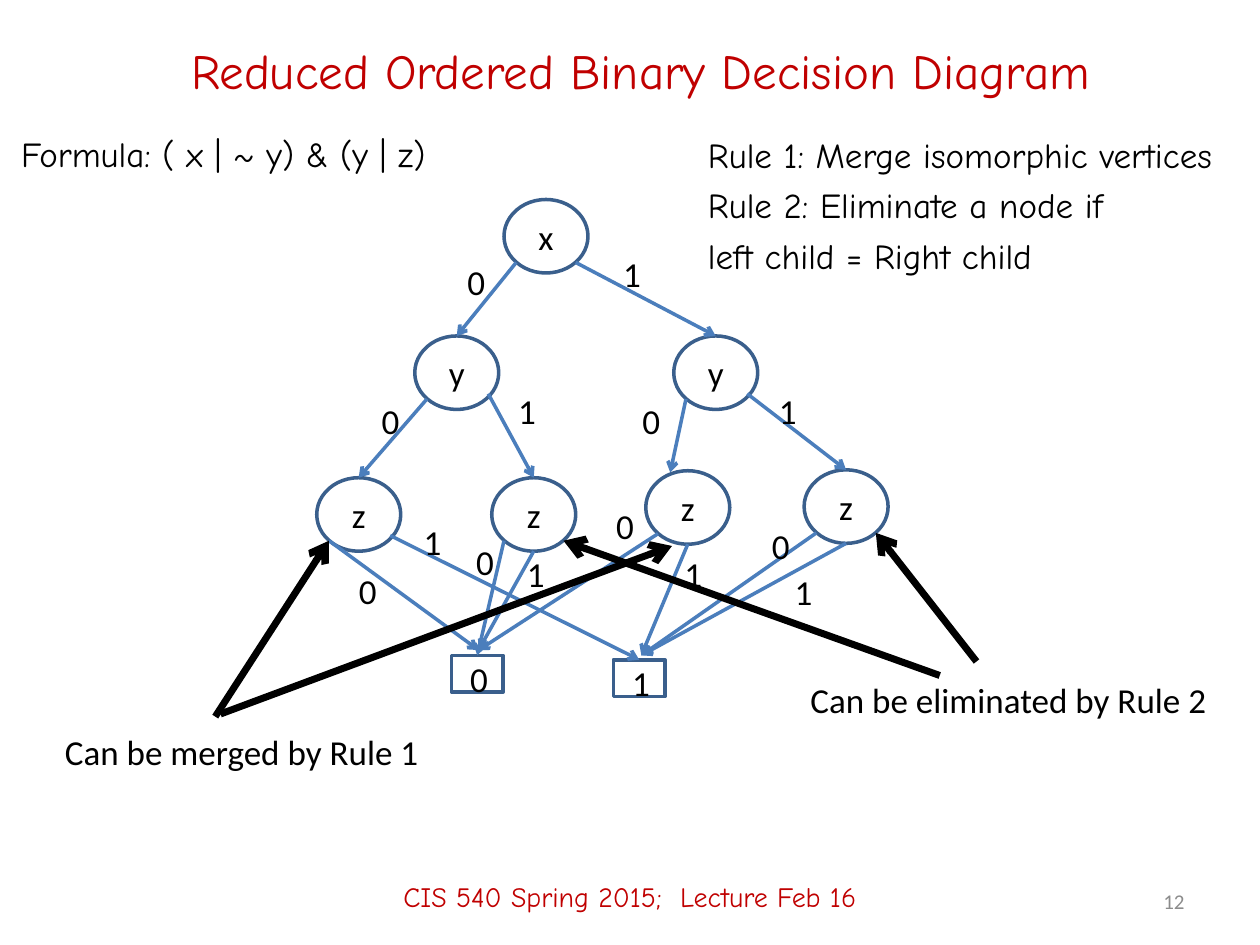
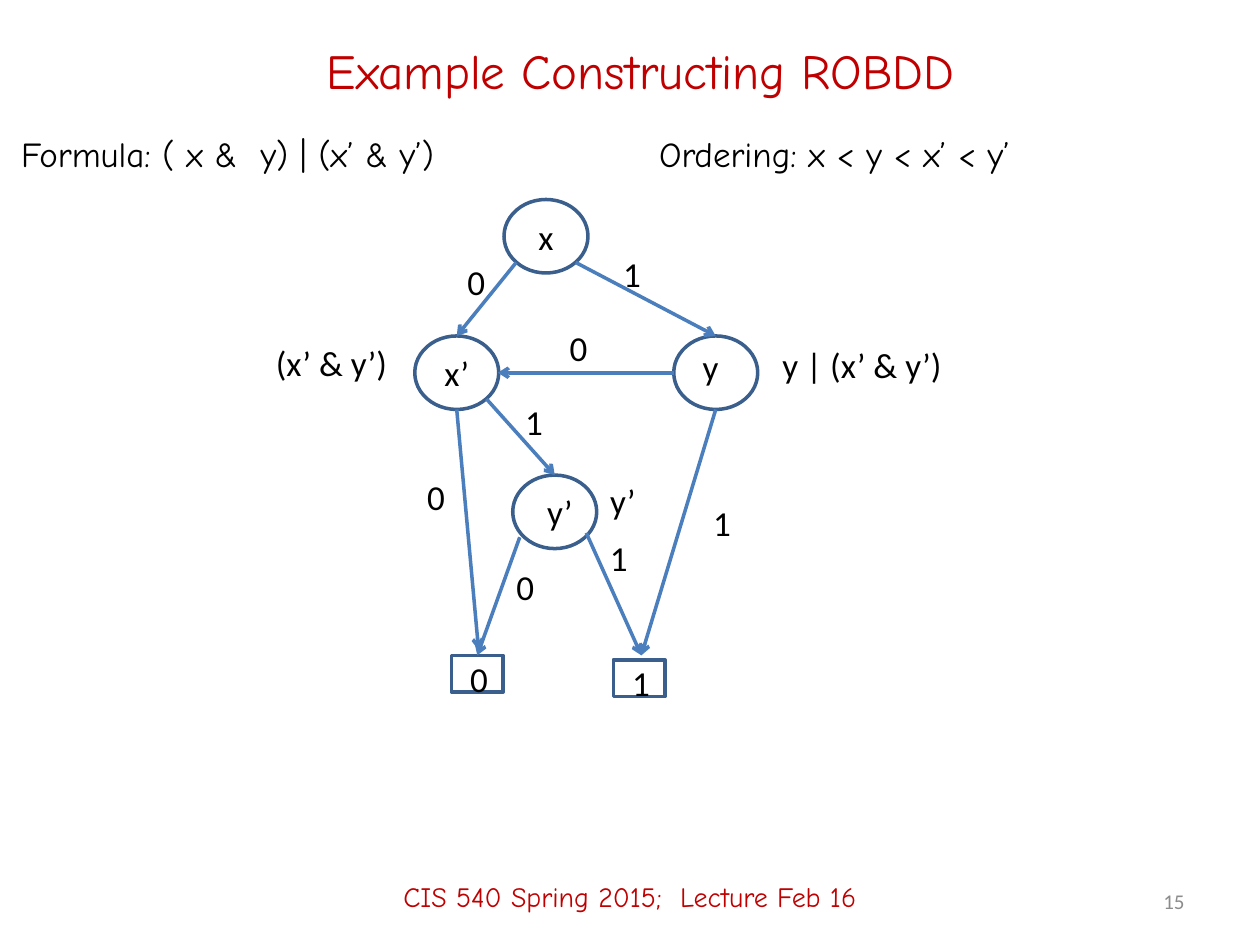
from dataclasses import dataclass

from lxml import etree
from pptx import Presentation
from pptx.dml.color import RGBColor
from pptx.enum.shapes import MSO_CONNECTOR, MSO_SHAPE
from pptx.enum.text import MSO_ANCHOR, MSO_AUTO_SIZE, PP_ALIGN
from pptx.oxml.ns import qn
from pptx.util import Pt

LEFT, CENTER, RIGHT = PP_ALIGN.LEFT, PP_ALIGN.CENTER, PP_ALIGN.RIGHT
TOP, MIDDLE = MSO_ANCHOR.TOP, MSO_ANCHOR.MIDDLE
OVAL, RECT = MSO_SHAPE.OVAL, MSO_SHAPE.RECTANGLE
STRAIGHT = MSO_CONNECTOR.STRAIGHT
FIT = MSO_AUTO_SIZE.SHAPE_TO_FIT_TEXT


@dataclass(frozen=True)
class Theme:
    red: str = "C00000"
    ink: str = "000000"
    gray: str = "8C8C8C"
    rim: str = "3A5F8C"
    edge: str = "4B7EBC"
    hand: str = "Comic Neue"
    sans: str = "Calibri"
    title: int = 28
    body: int = 20
    foot: int = 16
    page: int = 12
    thin: int = 2
    thick: int = 4


# Sizes of the vertices, and where edges leave an oval
NODE = (48, 42)
LEAF = (29.5, 21)
SW, SE, EAST, LOW, WEST = (7, 36), (41, 36), (42, 33), (24, 42), (0, 21)
LINE_H = 31.5

# Points just above the two terminal boxes
NEAR0, NEAR1 = (273.5, 371.5), (366.5, 374.5)


class Deck:
    def __init__(self, theme):
        self.theme = theme
        self.prs = Presentation()
        self.prs.slide_width, self.prs.slide_height = Pt(720), Pt(540)
        self.slide = None

    def page(self, title, number):
        """Start a slide with its title, footer and number."""
        t = self.theme
        self.slide = self.prs.slides.add_slide(self.prs.slide_layouts[6])
        self.text(title, 48, 12, 636, 56, t.hand, t.title, t.red, CENTER, MIDDLE)
        self.text("CIS 540 Spring 2015;  Lecture Feb 16", 0, 484, 720, 56,
                  t.hand, t.foot, t.red, CENTER, MIDDLE)
        self.text(str(number), 516, 500.5, 168, 29, t.sans, t.page, t.gray,
                  RIGHT, MIDDLE)

    def style(self, frame, text, font, size, color, align):
        frame.text = text
        for i, para in enumerate(frame.paragraphs):
            para.alignment = align
            para.space_before = Pt(5 if i else 0)
            for run in para.runs:
                run.font.name, run.font.size = font, Pt(size)
                run.font.color.rgb = RGBColor.from_string(color)

    def text(self, text, x, y, w, h, font, size, color, align=LEFT, anchor=TOP):
        box = self.slide.shapes.add_textbox(Pt(x), Pt(y), Pt(w), Pt(h))
        frame = box.text_frame
        frame.word_wrap, frame.vertical_anchor = True, anchor
        self.style(frame, text, font, size, color, align)
        return frame

    def note(self, text, x, y, w, h=33):
        """Handwritten remark."""
        t = self.theme
        self.text(text, x, y, w, h, t.hand, t.body, t.ink)

    def label(self, text, x, y, w=24.5):
        """Plain one-line label that does not wrap."""
        t = self.theme
        frame = self.text(text, x, y, w, LINE_H, t.sans, t.body, t.ink)
        frame.word_wrap, frame.auto_size = False, FIT

    def vertex(self, kind, size, text, x, y, shift):
        t = self.theme
        shape = self.slide.shapes.add_shape(kind, Pt(x), Pt(y), *map(Pt, size))
        shape.shadow.inherit = False
        shape.fill.background()
        shape.line.color.rgb = RGBColor.from_string(t.rim)
        shape.line.width = Pt(t.thin)
        frame = shape.text_frame
        dx, dy = shift
        frame.margin_left, frame.margin_right = Pt(max(2 * dx, 0)), Pt(max(-2 * dx, 0))
        frame.margin_top, frame.margin_bottom = Pt(max(2 * dy, 0)), Pt(max(-2 * dy, 0))
        frame.vertical_anchor = MIDDLE
        self.style(frame, text, t.sans, t.body, t.ink, CENTER)
        return shape

    def node(self, text, x, y, shift=(0, 0)):
        return self.vertex(OVAL, NODE, text, x, y, shift)

    def leaves(self):
        """The two terminal boxes."""
        return [self.vertex(RECT, LEAF, text, x, y, (1, 2.5))
                for text, x, y in (("0", 258, 374.5), ("1", 350.5, 377))]

    def arrow(self, start, end, color, width):
        """Arrow to a point, or to the top of a shape."""
        goal = end if isinstance(end, tuple) else start
        line = self.slide.shapes.add_connector(STRAIGHT, *map(Pt, start + goal))
        if goal is not end:
            line.end_connect(end, 0)
        line.line.color.rgb = RGBColor.from_string(color)
        line.line.width = Pt(width)
        props = line.element.spPr
        etree.SubElement(props.find(qn("a:ln")), qn("a:tailEnd"), type="arrow")
        etree.SubElement(props, qn("a:effectLst"))

    def edge(self, node, port, end, bit, x, y):
        """Decision edge with its bit at x, y."""
        start = (node.left.pt + port[0], node.top.pt + port[1])
        self.arrow(start, end, self.theme.edge, self.theme.thin)
        self.label(bit, x, y)

    def point(self, start, end):
        """Bold pointer."""
        self.arrow(start, end, self.theme.ink, self.theme.thick)

    def root(self, low, high, shift=(0, 0)):
        """Root x with its two children."""
        x = self.node("x", 288, 114)
        kids = self.node(low, 237, 192), self.node(high, 385, 192, shift)
        self.edge(x, SW, kids[0], "0", 260, 145.5)
        self.edge(x, SE, kids[1], "1", 349, 140.5)
        return kids


def reduced(deck):
    deck.page("Reduced Ordered Binary Decision Diagram", 12)
    deck.note("Formula: ( x | ~ y) & (y | z)", 5, 72, 336)
    deck.note("Rule 1: Merge isomorphic vertices\nRule 2: Eliminate a node if\n"
              "left child = Right child", 397.5, 72.5, 333, 104.5)

    # Vertices
    ya, yb = deck.root("y", "y")
    za, zb, zc, zd = [deck.node("z", x, y) for x, y in
                      ((181, 273), (281, 273), (369, 269), (459.5, 268.5))]
    zero, one = deck.leaves()

    # Edges
    for row in (
        (ya, SW, za, "0", 211, 224.5), (ya, EAST, zb, "1", 289, 219),
        (yb, SW, (383, 270), "0", 360, 224.5), (yb, EAST, zd, "1", 438, 219),
        (za, SW, NEAR0, "0", 198, 322), (za, EAST, one, "1", 235, 294),
        (zb, SW, zero, "0", 265, 305.5), (zb, LOW, NEAR0, "1", 294, 312),
        (zc, SW, NEAR0, "0", 345, 285), (zc, LOW, NEAR1, "1", 384, 312),
        (zd, SW, NEAR1, "0", 434, 296), (zd, LOW, NEAR1, "1", 447, 322.5),
    ):
        deck.edge(*row)

    # Pointers to the vertices each rule removes
    deck.label("Can be eliminated by Rule 2", 456, 384, 242.5)
    deck.point((558, 378), (500.5, 304.5))
    deck.point((537, 386), (322, 309))
    deck.label("Can be merged by Rule 1", 30, 414, 218)
    deck.point((123, 409.5), (188, 309))
    deck.point((126, 408), (384, 312))


def example(deck):
    deck.page("Example Constructing ROBDD", 15)
    deck.note("Formula: ( x &  y) | (x’ & y’)", 5, 72, 336)
    deck.note("Ordering: x < y < x’ < y’", 369.5, 72, 336)

    # Vertices
    xp, y = deck.root("x’", "y", (-3, -3.5))
    yp = deck.node("y’", 293, 271.5, (3, 0))
    zero, _ = deck.leaves()

    # Edges
    for row in (
        (y, WEST, (284.5, 213), "0", 318.5, 183),
        (y, LOW, NEAR1, "1", 400.5, 283),
        (xp, LOW, NEAR0, "0", 237, 268),
        (xp, SE, yp, "1", 293, 225.5),
        (yp, (4, 35.5), zero, "0", 288, 319.5),
        (yp, EAST, NEAR1, "1", 341.5, 303),
    ):
        deck.edge(*row)

    # Formula left at each vertex
    deck.label("(x’ & y’)", 150.5, 191.5, 78.5)
    deck.label("y | (x’ & y’)", 440, 193, 106.5)
    deck.label("y’", 341.5, 270.5, 29.5)


def main():
    deck = Deck(Theme())
    reduced(deck)
    example(deck)
    deck.prs.save("out.pptx")


if __name__ == "__main__":
    main()
